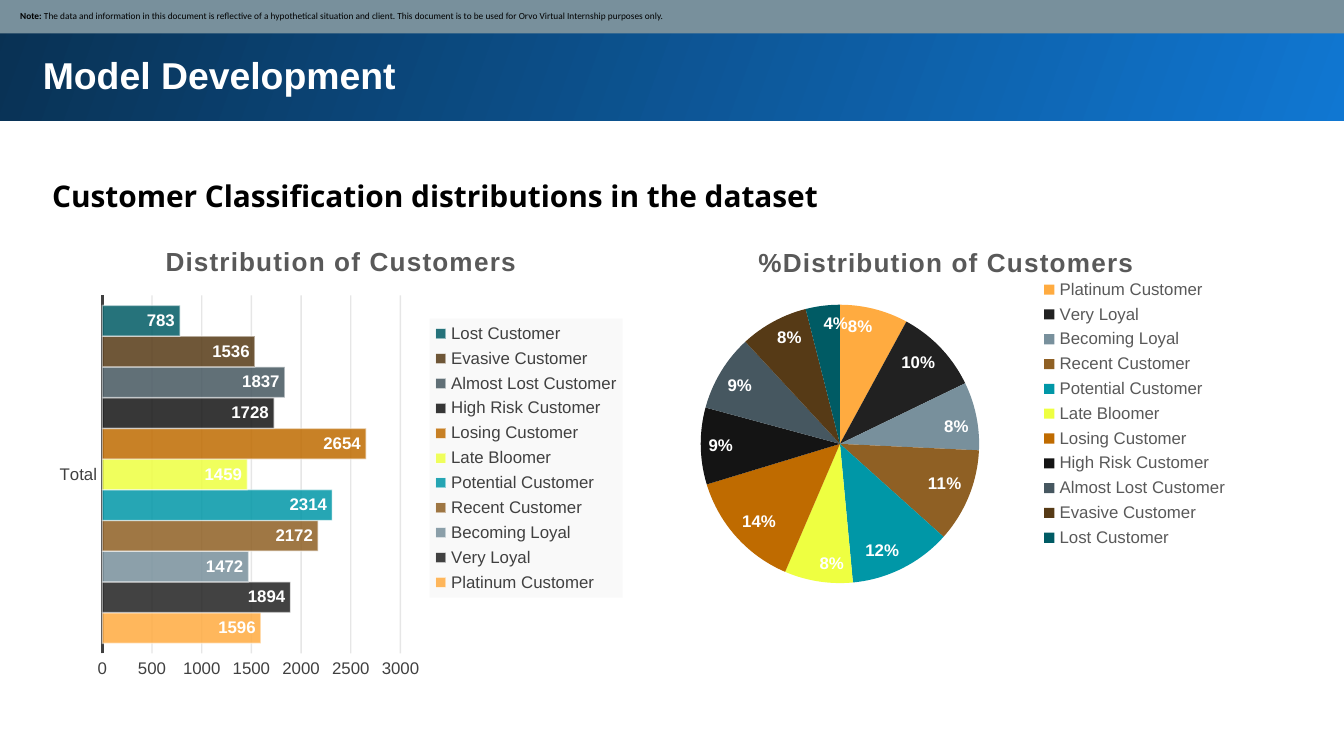
import pptx
import pptx.chart.data
import pptx.dml.color
import pptx.enum.chart
import pptx.enum.shapes
import pptx.enum.text
import pptx.oxml
import pptx.oxml.ns
import pptx.util

WIDTH = 10
HEIGHT = WIDTH * 9 / 16
HEADING = "Model Development"
SUBHEADING = "Customer Classification distributions in the dataset"
NOTE = [
    ("Note: ", True),
    ("The data and information in this document is reflective of a hypothetical situation and client. "
     "This document is to be used for Orvo Virtual Internship purposes only.", False),
]
SEGMENTS = [  # name, customers, percent, colour
    ("Platinum Customer", 1596, 8, "FFAB40"),
    ("Very Loyal", 1894, 10, "212121"),
    ("Becoming Loyal", 1472, 8, "78909C"),
    ("Recent Customer", 2172, 11, "8F6024"),
    ("Potential Customer", 2314, 12, "0097A7"),
    ("Late Bloomer", 1459, 8, "EEFF41"),
    ("Losing Customer", 2654, 14, "BF6B00"),
    ("High Risk Customer", 1728, 9, "141414"),
    ("Almost Lost Customer", 1837, 9, "465760"),
    ("Evasive Customer", 1536, 8, "563A16"),
    ("Lost Customer", 783, 4, "005B64"),
]
# Parts of each chart as shares of its frame: x, y, width, height
BAR_LAYOUT = {"title": (0.19, 0.03), "plotArea": (0.09, 0.15, 0.51, 0.77),
              "legend": (0.65, 0.2, 0.33, 0.6)}
PIE_LAYOUT = {"title": (0.18, 0.04), "plotArea": (0.09, 0.21, 0.47, 0.74),
              "legend": (0.66, 0.13, 0.32, 0.74)}


def rgb(colour):
    return pptx.dml.color.RGBColor.from_string(colour)


def inches(*lengths):
    return [pptx.util.Inches(length) for length in lengths]


def style_font(font, size, colour, bold=False, name="Arial"):
    font.size, font.bold, font.name = pptx.util.Pt(size), bold, name
    font.color.rgb = rgb(colour)


def add_text(shape, runs, size, colour, name="Arial", inset=0.1, left_inset=None,
             line_spacing=None, middle=False):
    """Write (text, bold) runs as one left-aligned paragraph."""
    frame = shape.text_frame
    frame.word_wrap = True
    frame.margin_top, frame.margin_bottom, frame.margin_right = inches(inset, inset, inset)
    frame.margin_left = pptx.util.Inches(left_inset or inset)
    anchors = pptx.enum.text.MSO_ANCHOR
    frame.vertical_anchor = anchors.MIDDLE if middle else anchors.TOP
    paragraph = frame.paragraphs[0]
    paragraph.alignment = pptx.enum.text.PP_ALIGN.LEFT
    paragraph.line_spacing = line_spacing
    for text, bold in runs:
        run = paragraph.add_run()
        run.text = text
        style_font(run.font, size, colour, bold, name)


def add_band(slide, *box):
    band = slide.shapes.add_shape(pptx.enum.shapes.MSO_SHAPE.RECTANGLE, *inches(*box))
    band.shadow.inherit = False
    band.line.fill.background()
    return band


def set_opacity(element, colour_path, percent):
    for colour in element.xpath(colour_path):
        alpha = pptx.oxml.parse_xml(
            f'<a:alpha {pptx.oxml.ns.nsdecls("a")} val="{percent * 1000}"/>')
        colour.append(alpha)


def place_part(chart, part, shares):
    """Fix a chart part at shares of the chart frame."""
    element = chart.element.xpath(f"c:chart/c:{part}")[0]
    for old in element.xpath("c:layout"):
        element.remove(old)
    inner = '<c:layoutTarget val="inner"/>' if part == "plotArea" else ""
    modes = '<c:xMode val="edge"/><c:yMode val="edge"/>'
    values = "".join(f'<c:{key} val="{share}"/>' for key, share in zip("xywh", shares))
    layout = pptx.oxml.parse_xml(
        f'<c:layout {pptx.oxml.ns.nsdecls("c")}><c:manualLayout>'
        f'{inner}{modes}{values}</c:manualLayout></c:layout>')
    element.insert(0 if part == "plotArea" else 1, layout)


def add_chart(slide, kind, box, categories, series, title, legend_colour, layout):
    data = pptx.chart.data.CategoryChartData()
    data.categories = categories
    for name, values in series:
        data.add_series(name, values)
    chart = slide.shapes.add_chart(kind, *inches(*box), data).chart
    style_font(chart.font, 10, "000000")
    chart.has_title = True
    heading = chart.chart_title.text_frame.paragraphs[0].add_run()
    heading.text = title
    style_font(heading.font, 14, "595959", True)
    for properties in chart.element.xpath("c:chart/c:title//a:r/a:rPr"):
        properties.set("spc", "50")
    chart.has_legend = True
    chart.legend.position = pptx.enum.chart.XL_LEGEND_POSITION.RIGHT
    chart.legend.include_in_layout = False
    style_font(chart.legend.font, 9, legend_colour)
    for part, shares in layout.items():
        place_part(chart, part, shares)
    return chart


def label_series(series, percent=False):
    labels = series.data_labels
    labels.show_value, labels.show_percentage = not percent, percent
    labels.number_format = "0%" if percent else "General"
    labels.number_format_is_linked = False
    labels.position = pptx.enum.chart.XL_LABEL_POSITION.INSIDE_END
    style_font(labels.font, 9, "FFFFFF", True)


def style_axes(chart):
    for axis in (chart.category_axis, chart.value_axis):
        axis.major_tick_mark = axis.minor_tick_mark = pptx.enum.chart.XL_TICK_MARK.NONE
        style_font(axis.tick_labels.font, 9, "404040")
    chart.category_axis.format.line.color.rgb = rgb("404040")
    chart.category_axis.format.line.width = pptx.util.Pt(1.5)
    values = chart.value_axis
    values.minimum_scale, values.maximum_scale, values.major_unit = 0, 3000, 500
    values.format.line.fill.background()
    values.has_major_gridlines = True
    values.major_gridlines.format.line.color.rgb = rgb("0D0D0D")
    values.major_gridlines.format.line.width = pptx.util.Pt(0.75)
    set_opacity(chart.element, ".//c:majorGridlines//a:srgbClr", 10)


def add_customer_bars(slide):
    chart = add_chart(slide, pptx.enum.chart.XL_CHART_TYPE.BAR_CLUSTERED, (0.37, 1.68, 4.35, 3.46),
                      ["Total"], [(name, [count]) for name, count, _, _ in SEGMENTS],
                      "Distribution of Customers", "404040", BAR_LAYOUT)
    style_axes(chart)
    plot = chart.plots[0]
    plot.gap_width, plot.overlap, plot.vary_by_categories = 65, 0, False
    for series, (_, _, _, colour) in zip(plot.series, SEGMENTS):
        series.format.fill.solid()
        series.format.fill.fore_color.rgb = rgb(colour)
        series.format.line.color.rgb = rgb("FFFFFF")
        series.format.line.width = pptx.util.Pt(0.75)
        label_series(series)
    set_opacity(chart.element, ".//c:ser/c:spPr/a:solidFill/a:srgbClr", 85)
    set_opacity(chart.element, ".//c:ser/c:spPr/a:ln//a:srgbClr", 50)
    legend_fill = pptx.oxml.parse_xml(
        f'<c:spPr {pptx.oxml.ns.nsdecls("c", "a")}><a:solidFill>'
        '<a:srgbClr val="F9F9F9"/></a:solidFill></c:spPr>')
    chart.element.xpath("c:chart/c:legend/c:txPr")[0].addprevious(legend_fill)


def add_share_pie(slide):
    names, _, percents, colours = zip(*SEGMENTS)
    chart = add_chart(slide, pptx.enum.chart.XL_CHART_TYPE.PIE, (4.81, 1.68, 4.43, 2.8),
                      names, [("Series 1", percents)],
                      "%Distribution of Customers", "595959", PIE_LAYOUT)
    chart.plots[0].vary_by_categories = True
    shares = chart.plots[0].series[0]
    for index, colour in enumerate(colours):
        wedge = shares.points[index].format
        wedge.fill.solid()
        wedge.fill.fore_color.rgb = rgb(colour)
        wedge.line.fill.background()
    label_series(shares, percent=True)


def main():
    deck = pptx.Presentation()
    deck.slide_width, deck.slide_height = inches(WIDTH, HEIGHT)
    slide = deck.slides.add_slide(deck.slide_layouts[6])

    header = add_band(slide, -0.02, -0.02, 10.05, 0.92)
    header.fill.gradient()
    header.fill.gradient_angle = 160
    for stop, colour in zip(header.fill.gradient_stops, ("1077D2", "093153")):
        stop.color.rgb = rgb(colour)
    heading = slide.shapes.add_textbox(*inches(0.22, 0.29, 9.37, 0.51))
    add_text(heading, [(HEADING, True)], 20, "FFFFFF")

    disclaimer = add_band(slide, -0.01, -0.01, 10.03, 0.26)
    disclaimer.fill.solid()
    disclaimer.fill.fore_color.rgb = rgb("78909C")
    add_text(disclaimer, NOTE, 5, "000000", "Calibri", inset=0.05, left_inset=0.16, middle=True)

    subheading = slide.shapes.add_textbox(*inches(0.29, 1.18, 7.26, 0.49))
    add_text(subheading, [(SUBHEADING, True)], 16, "000000", "Open Sans", line_spacing=1.15)

    add_customer_bars(slide)
    add_share_pie(slide)
    deck.save("out.pptx")


if __name__ == "__main__":
    main()
